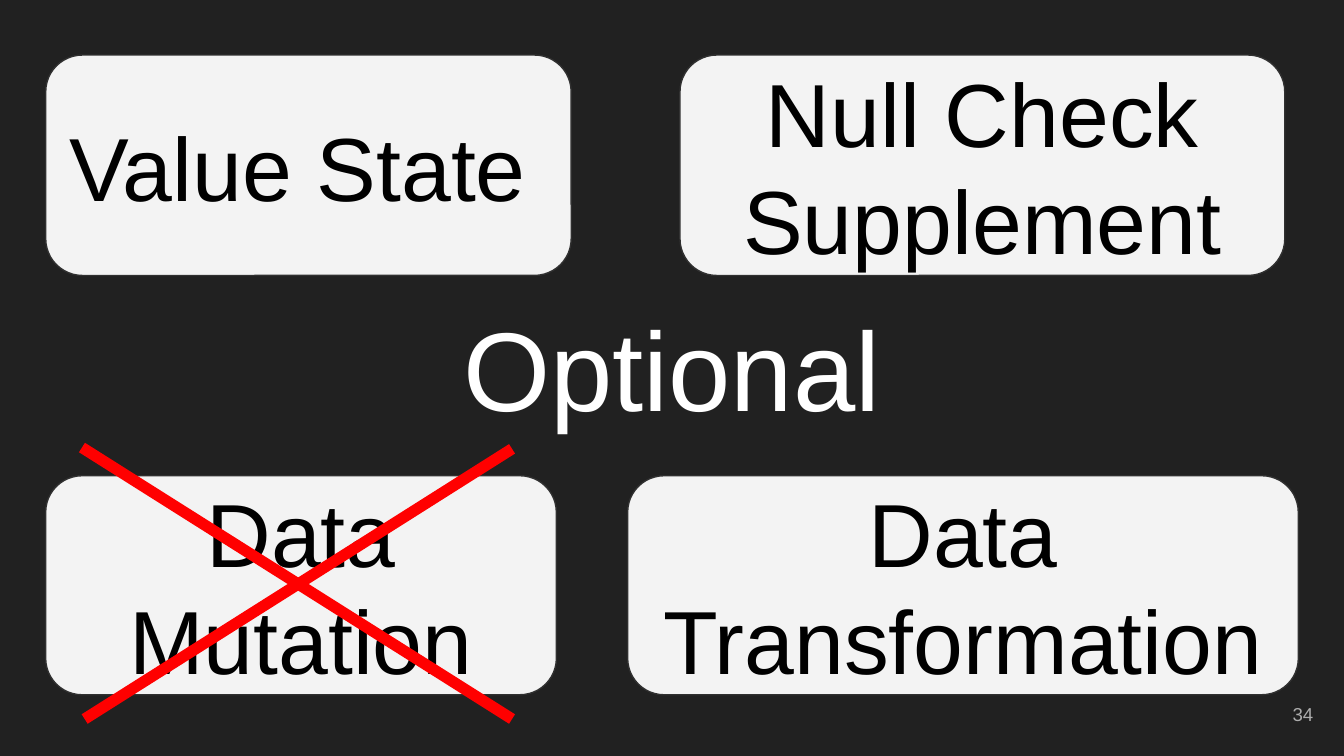
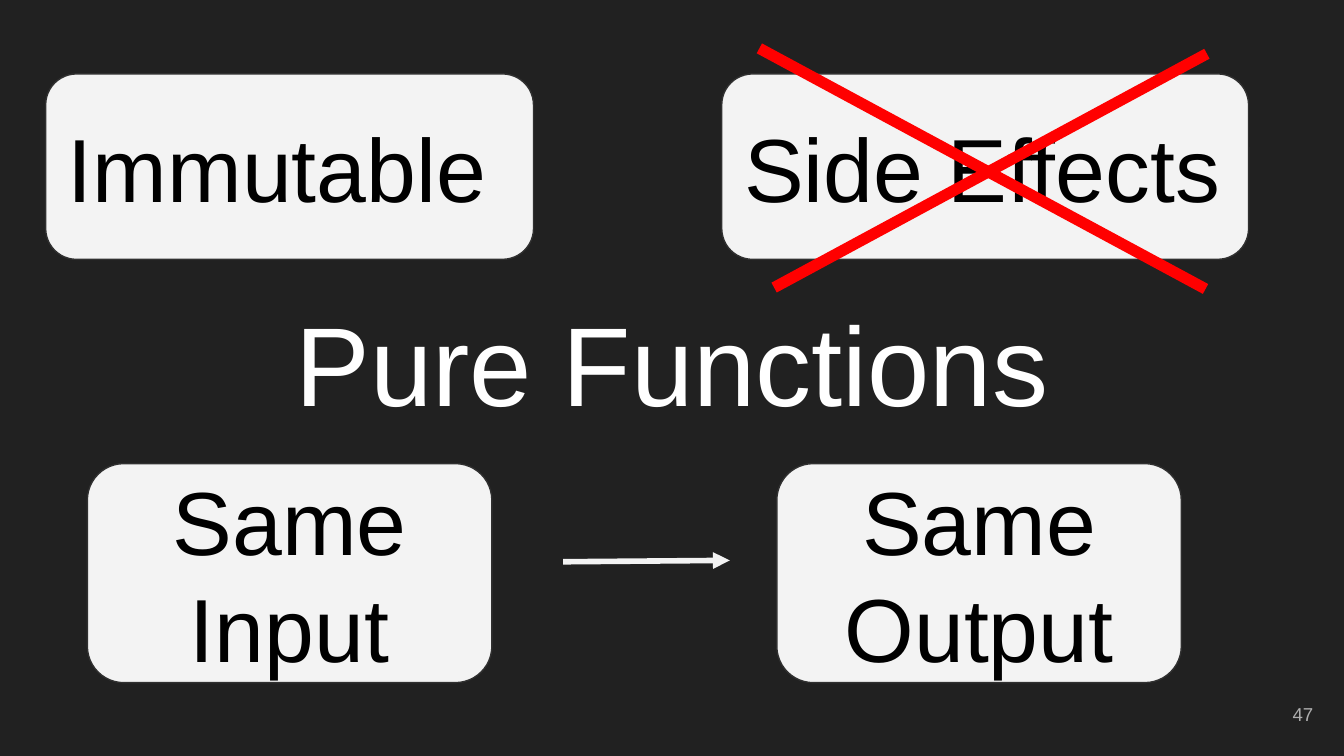
from lxml import etree
from pptx import Presentation
from pptx import util as u
from pptx.dml.color import RGBColor
from pptx.enum import shapes, text
from pptx.oxml.ns import qn

BACKGROUND = "212121"
CARD_FILL = "F3F3F3"
CARD_EDGE = "303030"
CARD_TEXT = "000000"
TITLE_TEXT = "FFFFFF"
NUMBER_TEXT = "ADADAD"
STRIKE = "FF0000"
FONT = "Arial"
LEFT, CENTER, RIGHT = text.PP_ALIGN.LEFT, text.PP_ALIGN.CENTER, text.PP_ALIGN.RIGHT


def rgb(color):
    return RGBColor.from_string(color)


def inches(*lengths):
    return [u.Inches(length) for length in lengths]


def write(shape, words, size, color, align=CENTER):
    frame = shape.text_frame
    frame.word_wrap = True
    frame.vertical_anchor = text.MSO_ANCHOR.MIDDLE
    frame.margin_left = frame.margin_right = u.Inches(0.1)
    frame.margin_top = frame.margin_bottom = u.Inches(0.1)
    paragraph = frame.paragraphs[0]
    paragraph.alignment = align
    run = paragraph.add_run()
    run.text = words
    run.font.name = FONT
    run.font.size = u.Pt(size)
    run.font.color.rgb = rgb(color)


def add_label(slide, box, words, **style):
    write(slide.shapes.add_textbox(*inches(*box)), words, **style)


def add_card(slide, box, words, align=CENTER):
    card = slide.shapes.add_shape(shapes.MSO_SHAPE.ROUNDED_RECTANGLE, *inches(*box))
    card.shadow.inherit = False
    card.fill.solid()
    card.fill.fore_color.rgb = rgb(CARD_FILL)
    card.line.color.rgb = rgb(CARD_EDGE)
    card.line.width = u.Pt(0.75)
    write(card, words, size=48, color=CARD_TEXT, align=align)


def add_line(slide, start, end, color, width, arrow=False):
    line = slide.shapes.add_connector(
        shapes.MSO_CONNECTOR.STRAIGHT, *inches(*start, *end))
    line.line.color.rgb = rgb(color)
    line.line.width = u.Pt(width)
    if arrow:
        etree.SubElement(line.line._get_or_add_ln(), qn("a:tailEnd"), type="triangle")
    etree.SubElement(line._element.spPr, qn("a:effectLst"))


def cross_out(slide, box, strokes):
    """Strike a card with strokes whose ends are offsets from its top left corner."""
    left, top = box[:2]
    for x1, y1, x2, y2 in strokes:
        add_line(slide, (left + x1, top + y1), (left + x2, top + y2), STRIKE, 6)


def add_concept_slide(deck, title, title_top, number, cards, arrow=None):
    """Title in the middle, cards around it; a card is (box, words, align, strokes)."""
    slide = deck.slides.add_slide(deck.slide_layouts[6])
    slide.background.fill.solid()
    slide.background.fill.fore_color.rgb = rgb(BACKGROUND)
    add_label(slide, (0.34, title_top, 9.32, 0.92), title, size=60, color=TITLE_TEXT)
    for box, words, align, _ in cards:
        add_card(slide, box, words, align)
    if arrow:
        add_line(slide, *arrow, CARD_FILL, 3, arrow=True)
    for box, _, _, strokes in cards:
        cross_out(slide, box, strokes)
    add_label(slide, (9.27, 5.1, 0.6, 0.43), number,
              size=10, color=NUMBER_TEXT, align=RIGHT)


def main():
    deck = Presentation()
    deck.slide_width = u.Inches(10)
    deck.slide_height = u.Inches(10 * 9 / 16)

    mutation_strokes = [(0.27, -0.21, 3.47, 1.81), (0.29, 1.81, 3.47, -0.2)]
    add_concept_slide(deck, "Optional", 2.27, "34", [
        ((0.34, 0.41, 3.91, 1.64), "Value State", LEFT, []),
        ((5.06, 0.41, 4.5, 1.64), "Null Check Supplement", CENTER, []),
        ((0.34, 3.54, 3.8, 1.63), "Data Mutation", CENTER, mutation_strokes),
        ((4.67, 3.54, 4.99, 1.63), "Data Transformation", CENTER, []),
    ])

    effects_strokes = [(0.28, -0.19, 3.6, 1.6), (0.39, 1.59, 3.61, -0.15)]
    add_concept_slide(deck, "Pure Functions", 2.23, "47", [
        ((0.34, 0.55, 3.63, 1.38), "Immutable", LEFT, []),
        ((5.37, 0.55, 3.92, 1.38), "Side Effects", LEFT, effects_strokes),
        ((0.65, 3.45, 3.01, 1.63), "Same Input", CENTER, []),
        ((5.78, 3.45, 3.01, 1.63), "Same Output", CENTER, []),
    ], arrow=((4.19, 4.18), (5.43, 4.17)))

    deck.save("out.pptx")


if __name__ == "__main__":
    main()
